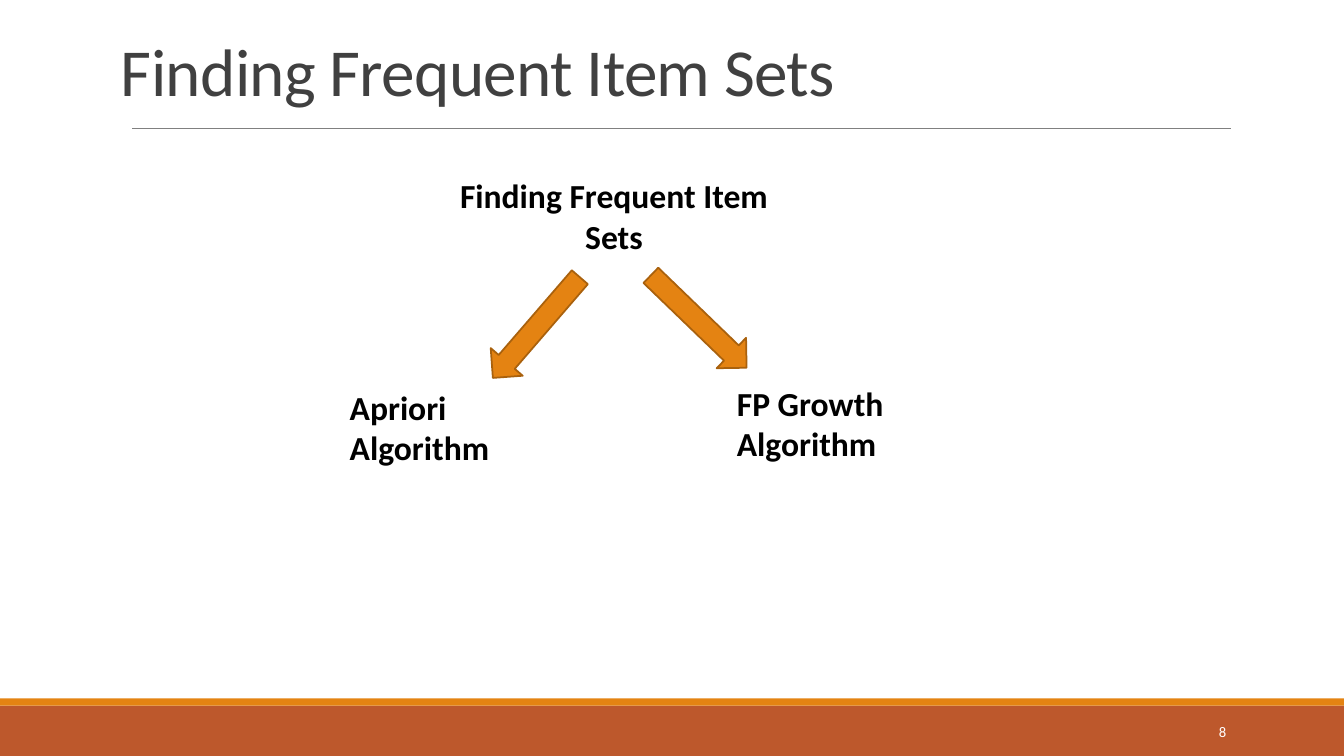
import pptx
import pptx.dml.color
import pptx.enum.shapes
import pptx.enum.text
import pptx.oxml
import pptx.util

Inches = pptx.util.Inches
Pt = pptx.util.Pt
Align = pptx.enum.text.PP_ALIGN
Anchor = pptx.enum.text.MSO_ANCHOR
AutoSize = pptx.enum.text.MSO_AUTO_SIZE
ShapeType = pptx.enum.shapes.MSO_SHAPE


def color(hex_string):
    return pptx.dml.color.RGBColor.from_string(hex_string)


class SlideBuilder:
    font = "Calibri"
    orange = "E48312"
    rust = "BD582C"
    dark_orange = "A9610D"
    gray = "808080"

    def __init__(self, presentation):
        self.slide = presentation.slides.add_slide(presentation.slide_layouts[5])

    def fill_text(self, shape, text, size, hex_string, align, anchor, bold=False):
        frame = shape.text_frame
        frame.word_wrap = True
        frame.vertical_anchor = anchor
        paragraph = frame.paragraphs[0]
        paragraph.alignment = align
        run = paragraph.add_run()
        run.text = text
        run.font.name = self.font
        run.font.size = Pt(size)
        run.font.bold = bold
        run.font.color.rgb = color(hex_string)
        return paragraph, run

    def title(self, text, left, top, width, height):
        shape = self.slide.shapes.title
        shape.left, shape.top = Inches(left), Inches(top)
        shape.width, shape.height = Inches(width), Inches(height)
        paragraph, run = self.fill_text(shape, text, 48, "404040", Align.LEFT, Anchor.BOTTOM)
        shape.text_frame.auto_size = AutoSize.NONE
        paragraph.line_spacing = 0.85
        run.font._element.set("spc", "-50")

    def text(self, text, left, top, width, height, size=24, hex_string="000000",
             align=Align.LEFT, anchor=Anchor.TOP, bold=True):
        box = self.slide.shapes.add_textbox(
            Inches(left), Inches(top), Inches(width), Inches(height))
        self.fill_text(box, text, size, hex_string, align, anchor, bold)

    def shape(self, kind, left, top, width, height, fill):
        shape = self.slide.shapes.add_shape(
            kind, Inches(left), Inches(top), Inches(width), Inches(height))
        shape.shadow.inherit = False
        shape.fill.solid()
        shape.fill.fore_color.rgb = color(fill)
        shape.line.fill.background()
        return shape

    def arrow(self, left, top, rotation):
        arrow = self.shape(ShapeType.DOWN_ARROW, left, top, 0.42, 1.32, self.orange)
        arrow.rotation = rotation
        arrow.line.color.rgb = color(self.dark_orange)
        arrow.line.width = Pt(1.25)

    def rule(self, left, right, top):
        line = self.slide.shapes.add_connector(
            pptx.enum.shapes.MSO_CONNECTOR.STRAIGHT,
            Inches(left), Inches(top), Inches(right), Inches(top))
        line.line.color.rgb = color(self.gray)
        line.line.width = Pt(0.5)
        line._element.spPr.append(pptx.oxml.parse_xml(
            '<a:effectLst xmlns:a="http://schemas.openxmlformats.org/drawingml/2006/main"/>'))


def main():
    presentation = pptx.Presentation()
    presentation.slide_width = Inches(13.33)
    presentation.slide_height = Inches(7.5)
    builder = SlideBuilder(presentation)

    builder.shape(ShapeType.RECTANGLE, 0, 7, 13.33, 0.5, builder.rust)
    builder.shape(ShapeType.RECTANGLE, 0, 6.93, 13.33, 0.07, builder.orange)
    builder.rule(1.31, 12.21, 1.27)
    builder.title("Finding Frequent Item Sets", 1.1, 0.06, 11, 1.08)
    builder.text("8", 10.83, 7.06, 1.43, 0.4, size=10.5, hex_string="FFFFFF",
                 align=Align.RIGHT, anchor=Anchor.MIDDLE, bold=False)

    builder.arrow(5.11, 2.59, 40.8)
    builder.arrow(6.72, 2.53, 314)
    builder.text("Apriori Algorithm", 3.37, 3.79, 2.21, 0.91)
    builder.text("FP Growth Algorithm", 7.21, 3.75, 3.02, 0.91)
    builder.text("Finding Frequent Item Sets", 4.34, 1.69, 3.5, 0.91, align=Align.CENTER)

    presentation.save("out.pptx")


if __name__ == "__main__":
    main()
